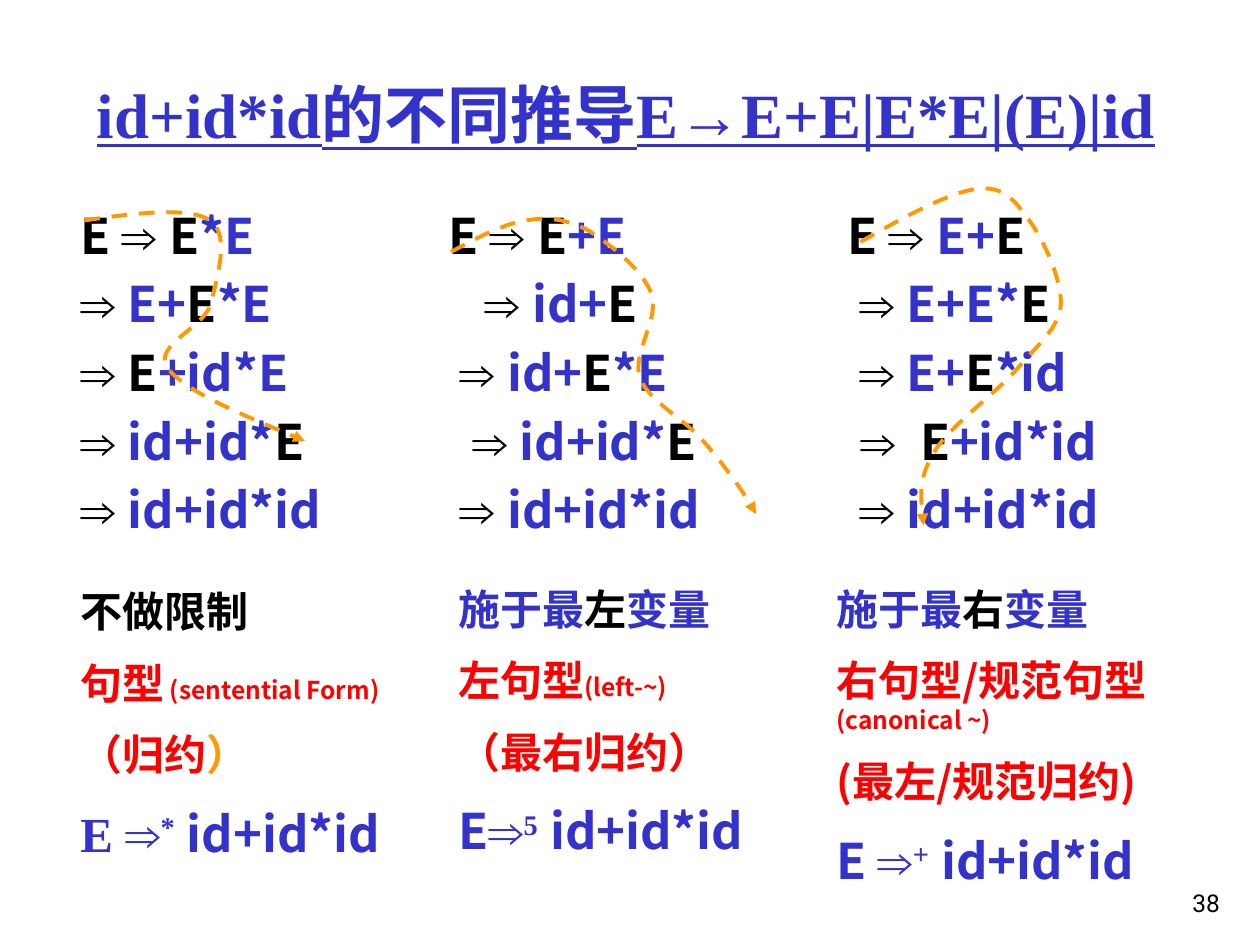
from lxml import etree
from pptx import Presentation
from pptx.dml.color import RGBColor
from pptx.enum.dml import MSO_LINE_DASH_STYLE as Dash
from pptx.enum.text import MSO_ANCHOR as Anchor, PP_ALIGN as Align
from pptx.oxml.ns import qn
from pptx.util import Inches, Pt

COLORS = {"black": "000000", "blue": "3333CC", "red": "FF0000", "orange": "FF9900"}
SANS, SERIF, NUMBER = "Noto Sans CJK SC", "Times New Roman", "Roboto"
INDENT = 0.21
ARROW = ("⇒ ", {"font": SERIF})
BLUE = {"color": "blue"}
RED = {"color": "red"}
SMALL = {"color": "red", "size": 14}
BIG = {"color": "blue", "size": 28}
SERIF_BIG = BIG | {"font": SERIF}
RAISED = SERIF_BIG | {"raised": True}
RESULT = [(" ", SERIF_BIG), ("id+id*id", BIG)]


def add_run(paragraph, text, size=24, font=SANS, east_asian=None, color="black",
            bold=True, underline=False, raised=False):
    run = paragraph.add_run()
    run.text = text
    run.font.size = Pt(size)
    run.font.name = font
    run.font.bold = bold
    run.font.underline = underline
    run.font.color.rgb = RGBColor.from_string(COLORS[color])
    properties = run.font._element
    if raised:
        properties.set("baseline", "30000")
    typeface = etree.Element(qn("a:ea"), typeface=east_asian or font)
    properties.find(qn("a:latin")).addnext(typeface)


def add_box(slide, box, anchor=Anchor.TOP):
    shape = slide.shapes.add_textbox(*(Inches(value) for value in box))
    frame = shape.text_frame
    frame.word_wrap = True
    frame.vertical_anchor = anchor
    return frame


def add_lines(slide, box, lines, size, space, indents=None):
    """Each line is a list of plain black strings or (text, format) pairs."""
    frame = add_box(slide, box)
    for index, line in enumerate(lines):
        paragraph = frame.paragraphs[0] if index == 0 else frame.add_paragraph()
        paragraph.space_before = Pt(space[index])
        left = INDENT + (indents[index] if indents else 0)
        paragraph._p.get_or_add_pPr().set("marL", str(Inches(left)))
        for part in line:
            text, style = (part, {}) if isinstance(part, str) else part
            add_run(paragraph, text, **({"size": size} | style))


def add_title(slide, box):
    paragraph = add_box(slide, box, Anchor.BOTTOM).paragraphs[0]
    add_run(paragraph, "id+id*id的不同推导E→E+E|E*E|(E)|id", size=36,
            font=SERIF, east_asian=SANS, color="blue", underline=True)


def add_derivation(slide, box, lines, indents):
    add_lines(slide, box, lines, 28, [5.6] * len(lines), indents)


def add_summary(slide, box, lines):
    add_lines(slide, box, lines, 24, [12, 12, 12, 14])


def add_curve(slide, start, segments):
    """Dashed arrow along cubic segments (control, control, end)."""
    points = [(Inches(x), Inches(y)) for segment in segments for x, y in segment]
    builder = slide.shapes.build_freeform(Inches(start[0]), Inches(start[1]))
    builder.add_line_segments(points, close=False)
    shape = builder.convert_to_shape()
    # Every three straight steps become one cubic step
    steps = list(shape._element.iter(qn("a:lnTo")))
    outline = steps[0].getparent()
    for index in range(0, len(steps), 3):
        cubic = etree.SubElement(outline, qn("a:cubicBezTo"))
        for step in steps[index:index + 3]:
            cubic.append(step[0])
            outline.remove(step)
    shape.shadow.inherit = False
    shape.fill.background()
    shape.line.color.rgb = RGBColor.from_string(COLORS["orange"])
    shape.line.width = Pt(2.25)
    shape.line.dash_style = Dash.DASH
    etree.SubElement(shape.line._get_or_add_ln(), qn("a:tailEnd"), type="triangle")


def add_page_number(slide, box):
    paragraph = add_box(slide, box, Anchor.BOTTOM).paragraphs[0]
    paragraph.alignment = Align.RIGHT
    add_run(paragraph, "38", size=14, font=NUMBER, bold=False)


# Derivations: box, lines, extra indent of each line
DERIVATIONS = [
    ((0.33, 1.58, 3.25, 2.81),
     [["E ", ARROW, "E", ("*E", BLUE)],
      [ARROW, ("E+", BLUE), "E", ("*E", BLUE)],
      [ARROW, "E", ("+id*E", BLUE)],
      [ARROW, ("id+id*", BLUE), "E"],
      [ARROW, ("id+id*id", BLUE)]],
     [0, 0, 0, 0, 0]),
    ((3.25, 1.58, 2.92, 2.81),
     [["E ", ARROW, "E", ("+E", BLUE)],
      [ARROW, ("id+", BLUE), "E"],
      [ARROW, ("id+", BLUE), "E", ("*E", BLUE)],
      [ARROW, ("id+id*", BLUE), "E"],
      [ARROW, ("id+id*id", BLUE)]],
     [0, 0.29, 0.09, 0.19, 0.09]),
    ((6.42, 1.58, 3.17, 2.81),
     [["E ", ARROW, ("E+", BLUE), "E"],
      [ARROW, ("E+E*", BLUE), "E"],
      [ARROW, ("E+", BLUE), "E", ("*id", BLUE)],
      [("⇒  ", {"font": SERIF}), "E", ("+id*id", BLUE)],
      [ARROW, ("id+id*id", BLUE)]],
     [0, 0.09, 0.09, 0.1, 0.09]),
]

# Summaries: box, lines
SUMMARIES = [
    ((0.33, 4.6, 3, 2.4),
     [["不做限制"],
      [("句型", RED), (" (sentential Form)", SMALL)],
      [("（归约", RED), ("）", {"color": "orange"})],
      [("E ⇒", SERIF_BIG), ("*", RAISED), *RESULT]]),
    ((3.33, 4.58, 2.83, 2.4),
     [[("施于最", BLUE), "左", ("变量", BLUE)],
      [("左句型", RED), ("(left-~)", SMALL)],
      [("（最右归约）", RED)],
      [("E", BIG), ("⇒", SERIF_BIG), ("5", RAISED), *RESULT]]),
    ((6.33, 4.58, 3.33, 2.63),
     [[("施于最", BLUE), "右", ("变量", BLUE)],
      [("右句型/规范句型\t ", RED), ("(canonical ~)", SMALL)],
      [("(最左/规范归约)", RED)],
      [("E ", BIG), ("⇒", SERIF_BIG), ("+", RAISED), *RESULT]]),
]

# Curves: start, cubic segments
CURVES = [
    ((0.67, 1.75),
     [((1.08, 1.69), (1.5, 1.64), (1.67, 1.75)),
      ((1.83, 1.86), (1.72, 2.22), (1.67, 2.42)),
      ((1.61, 2.61), (1.21, 2.74), (1.33, 2.92)),
      ((1.46, 3.1), (1.94, 3.3), (2.42, 3.5))]),
    ((3.58, 2),
     [((3.78, 1.89), (3.99, 1.78), (4.17, 1.75)),
      ((4.35, 1.72), (4.5, 1.74), (4.67, 1.83)),
      ((4.83, 1.93), (5.1, 2.14), (5.17, 2.33)),
      ((5.24, 2.53), (5.01, 2.81), (5.08, 3)),
      ((5.15, 3.19), (5.43, 3.32), (5.58, 3.5)),
      ((5.74, 3.68), (5.96, 3.99), (6, 4.08))]),
    ((6.83, 1.92),
     [((7.18, 1.72), (7.53, 1.53), (7.75, 1.5)),
      ((7.97, 1.47), (8.06, 1.6), (8.17, 1.75)),
      ((8.28, 1.9), (8.43, 2.22), (8.42, 2.42)),
      ((8.4, 2.61), (8.25, 2.72), (8.08, 2.92)),
      ((7.92, 3.11), (7.54, 3.38), (7.42, 3.58)),
      ((7.29, 3.79), (7.31, 3.98), (7.33, 4.17))]),
]


def main():
    presentation = Presentation()
    presentation.slide_width, presentation.slide_height = Inches(10), Inches(7.5)
    slide = presentation.slides.add_slide(presentation.slide_layouts[6])
    add_title(slide, (0.67, 0.58, 8.92, 0.67))
    for box, lines, indents in DERIVATIONS:
        add_derivation(slide, box, lines, indents)
    for box, lines in SUMMARIES:
        add_summary(slide, box, lines)
    for start, segments in CURVES:
        add_curve(slide, start, segments)
    add_page_number(slide, (7.7, 6.83, 2.08, 0.5))
    presentation.save("out.pptx")


if __name__ == "__main__":
    main()
